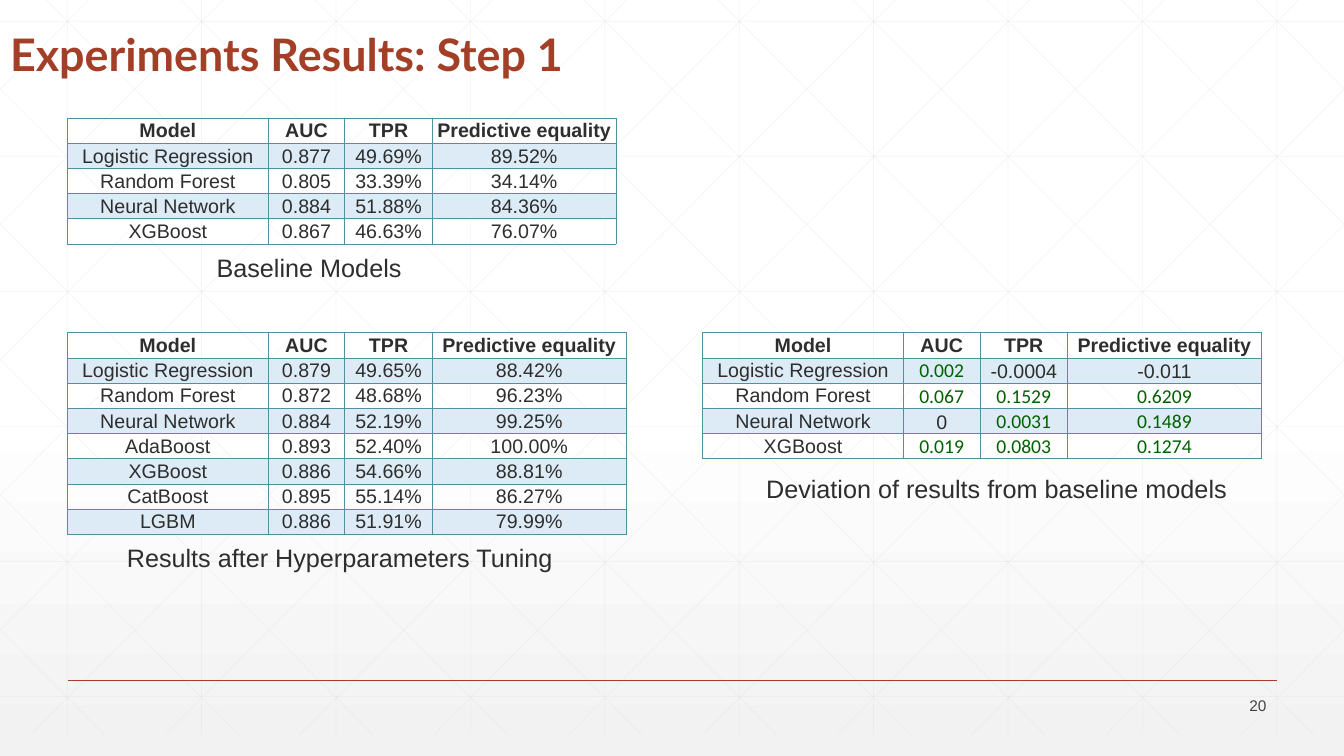
import pptx
import pptx.dml.color
import pptx.enum.shapes
import pptx.enum.text
import pptx.oxml.ns
import pptx.oxml.xmlchemy
import pptx.util

Inches = pptx.util.Inches
Pt = pptx.util.Pt
Anchor = pptx.enum.text.MSO_ANCHOR
Align = pptx.enum.text.PP_ALIGN
new_element = pptx.oxml.xmlchemy.OxmlElement

SLIDE_WIDTH, SLIDE_HEIGHT = 13.33, 7.5
RUST, INK, GREY = "A43F27", "2D2E2D", "424342"
GRID, BAND, BORDER, GAIN = "D9D9D9", "DDEBF7", "4F91A1", "006100"

HEADINGS = ("Model", "AUC", "TPR", "Predictive equality")
BASELINE = [
    ("Logistic Regression", "0.877", "49.69%", "89.52%"),
    ("Random Forest", "0.805", "33.39%", "34.14%"),
    ("Neural Network", "0.884", "51.88%", "84.36%"),
    ("XGBoost", "0.867", "46.63%", "76.07%"),
]
TUNED = [
    ("Logistic Regression", "0.879", "49.65%", "88.42%"),
    ("Random Forest", "0.872", "48.68%", "96.23%"),
    ("Neural Network", "0.884", "52.19%", "99.25%"),
    ("AdaBoost", "0.893", "52.40%", "100.00%"),
    ("XGBoost", "0.886", "54.66%", "88.81%"),
    ("CatBoost", "0.895", "55.14%", "86.27%"),
    ("LGBM", "0.886", "51.91%", "79.99%"),
]
DEVIATION = [
    ("Logistic Regression", "0.002", "-0.0004", "-0.011"),
    ("Random Forest", "0.067", "0.1529", "0.6209"),
    ("Neural Network", "0", "0.0031", "0.1489"),
    ("XGBoost", "0.019", "0.0803", "0.1274"),
]


def colour(value):
    return pptx.dml.color.RGBColor.from_string(value)


def format_paragraph(paragraph, size, tint, name="Arial", bold=False, align=Align.LEFT):
    paragraph.alignment = align
    font = paragraph.font
    font.size, font.name, font.bold = Pt(size), name, bold
    font.color.rgb = colour(tint)


def add_rule(slide, start, end, tint, weight, opacity=None):
    """Draw a straight line; opacity is a percentage."""
    rule = slide.shapes.add_connector(
        pptx.enum.shapes.MSO_CONNECTOR.STRAIGHT, *map(Inches, (*start, *end)))
    rule.line.color.rgb = colour(tint)
    rule.line.width = Pt(weight)
    properties = rule._element.spPr
    if opacity is not None:
        tint_element = properties.find(".//" + pptx.oxml.ns.qn("a:srgbClr"))
        alpha = new_element("a:alpha")
        alpha.set("val", str(opacity * 1000))
        tint_element.append(alpha)
    properties.append(new_element("a:effectLst"))


def add_backdrop(slide, left, top, width, height):
    """Shade the slide and draw a grid with diagonals clipped to the box."""
    fill = slide.background.fill
    fill.gradient()
    fill.gradient_angle = 270
    for stop, position, tint in zip(fill.gradient_stops, (0.53, 1), ("FFFFFF", "F2F2F2")):
        stop.position = position
        stop.color.rgb = colour(tint)

    right, bottom = left + width, top + height
    pitch = width / 10
    lines = []
    for column in range(10):
        x = left + pitch * (column + 0.5)
        lines.append(((x, top), (x, bottom)))
    for row in range(6):
        y = top + 0.42 + 1.34 * row
        lines.append(((left, y), (right, y)))
    for direction, first, offset in ((1, -5, 0.25), (-1, 0, 1.09)):
        slope = direction * 7.45 / 7.5
        for step in range(first, first + 15):
            x = left + offset + pitch * step
            start_x = min(max(x, left), right)
            end_x = min(max(x + slope * height, left), right)
            lines.append(((start_x, top + (start_x - x) / slope),
                          (end_x, top + (end_x - x) / slope)))
    for start, end in lines:
        add_rule(slide, start, end, GRID, 0.5, opacity=25)


def add_title(slide, text, left, top, width, height):
    title = slide.shapes.title
    slide.shapes._spTree.append(title._element)  # in front of the backdrop
    title.left, title.top, title.width, title.height = map(
        Inches, (left, top, width, height))
    title.text_frame.text = text
    title.text_frame.vertical_anchor = Anchor.BOTTOM
    paragraph = title.text_frame.paragraphs[0]
    paragraph.line_spacing = 0.9
    format_paragraph(paragraph, 32, RUST, "Lato", bold=True)


def add_text(slide, text, left, top, width, height, size=18, tint=INK,
             align=Align.LEFT, anchor=Anchor.TOP):
    frame = slide.shapes.add_textbox(*map(Inches, (left, top, width, height))).text_frame
    frame.word_wrap = True
    frame.vertical_anchor = anchor
    frame.text = text
    format_paragraph(frame.paragraphs[0], size, tint, align=align)


def add_footer(slide, left, top, width, number):
    add_rule(slide, (left, top), (left + width, top), RUST, 1)
    add_text(slide, number, left + width - 1.01, top + 0.13, 1, 0.24,
             11, GREY, Align.RIGHT, Anchor.MIDDLE)


def add_borders(cell):
    properties = cell._tc.get_or_add_tcPr()
    for side in ("a:lnL", "a:lnR", "a:lnT", "a:lnB"):
        edge = new_element(side)
        edge.set("w", str(Pt(0.5)))
        fill = new_element("a:solidFill")
        tint = new_element("a:srgbClr")
        tint.set("val", BORDER)
        fill.append(tint)
        edge.append(fill)
        properties.append(edge)


def add_results(slide, models, left, top, last_width=1.92, deviations=False):
    """Place a table of models; deviations shows the gains in green."""
    widths = (1.99, 0.76, 0.87, last_width)
    rows = [HEADINGS, *models]
    row_height = 0.25
    table = slide.shapes.add_table(
        len(rows), len(widths), Inches(left), Inches(top),
        Inches(sum(widths)), Inches(row_height * len(rows))).table
    table.first_row = table.horz_banding = False
    for column, width in zip(table.columns, widths):
        column.width = Inches(width)
    for r, values in enumerate(rows):
        table.rows[r].height = Inches(row_height)
        for c, value in enumerate(values):
            cell = table.cell(r, c)
            add_borders(cell)
            if r % 2:
                cell.fill.solid()
                cell.fill.fore_color.rgb = colour(BAND)
            else:
                cell.fill.background()
            cell.margin_left = cell.margin_right = cell.margin_top = Inches(0.01)
            cell.margin_bottom = 0
            is_deviation = deviations and r > 0 and c > 0
            is_gain = is_deviation and float(value) > 0
            cell.vertical_anchor = Anchor.BOTTOM if is_deviation else Anchor.MIDDLE
            cell.text = value
            format_paragraph(cell.text_frame.paragraphs[0], 14,
                             GAIN if is_gain else INK,
                             "Calibri" if is_gain else "Arial",
                             bold=r == 0, align=Align.CENTER)


def add_results_slide(deck):
    slide = deck.slides.add_slide(deck.slide_layouts.get_by_name("Title Only"))
    add_backdrop(slide, 0, -0.21, SLIDE_WIDTH, 7.5)
    add_footer(slide, 0.67, 6.75, 12, "20")
    add_title(slide, "Experiments Results: Step 1", 0, 0.24, 11.5, 0.62)
    add_results(slide, BASELINE, 0.67, 1.17, last_width=1.82)
    add_results(slide, TUNED, 0.67, 3.3)
    add_results(slide, DEVIATION, 6.97, 3.3, deviations=True)
    for caption, left, top in (
            ("Baseline Models", 2.05, 2.45),
            ("Results after Hyperparameters Tuning", 1.16, 5.33),
            ("Deviation of results from baseline models", 7.5, 4.65)):
        add_text(slide, caption, left, top, 5.17, 0.4)


def main():
    deck = pptx.Presentation()
    deck.slide_width, deck.slide_height = Inches(SLIDE_WIDTH), Inches(SLIDE_HEIGHT)
    add_results_slide(deck)
    deck.save("out.pptx")


if __name__ == "__main__":
    main()
